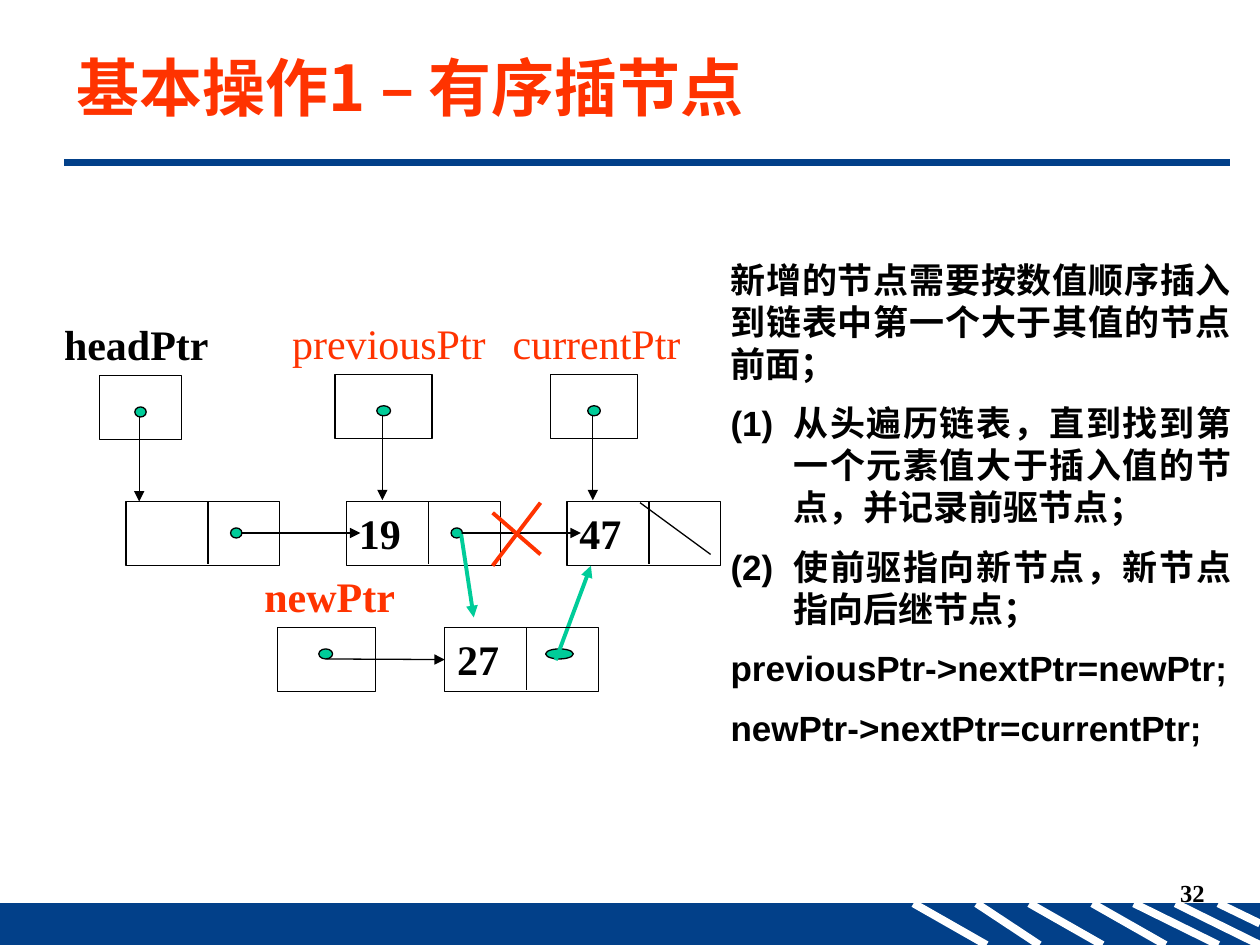
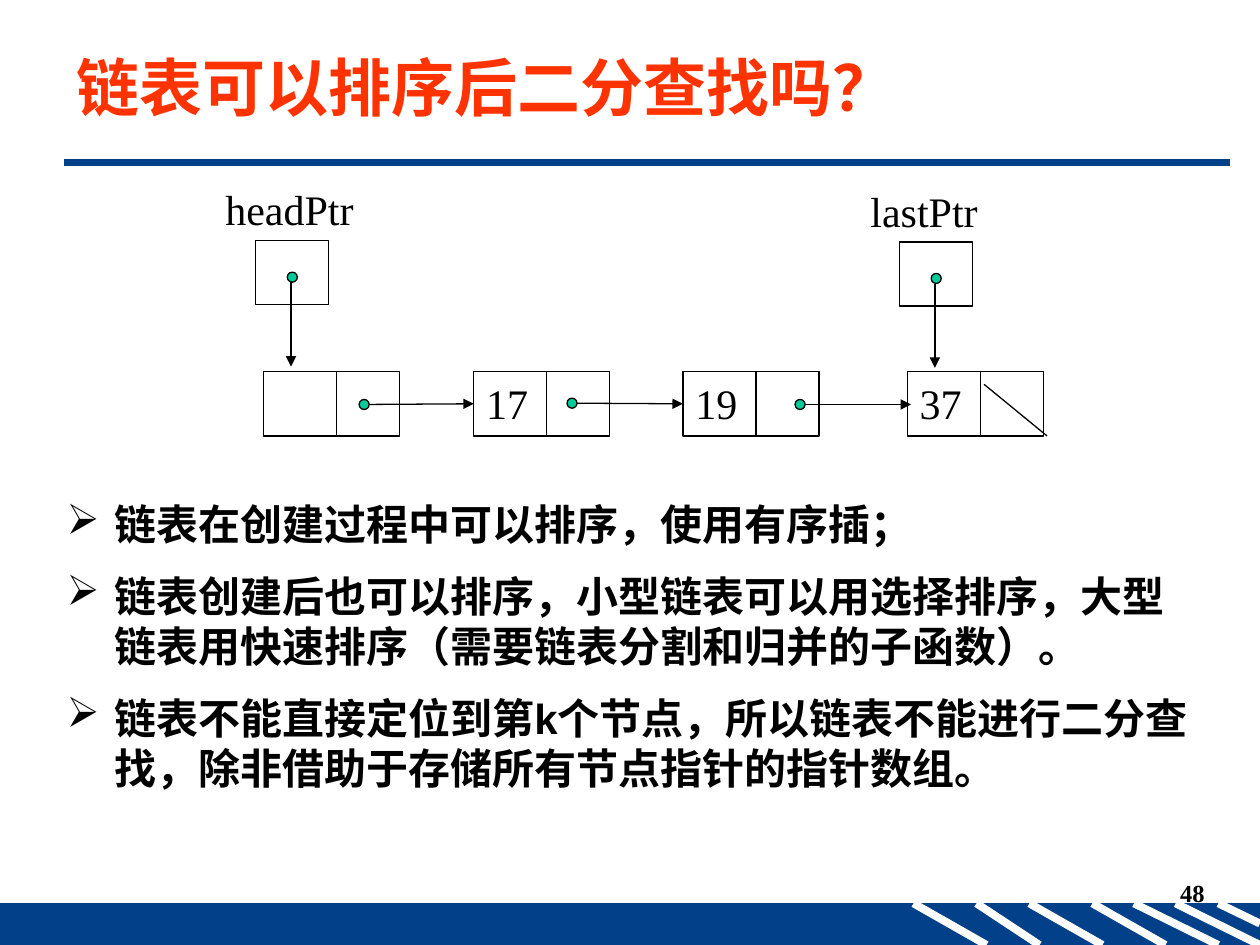
from lxml import etree
from pptx import Presentation
from pptx import util as u
from pptx.dml.color import RGBColor
from pptx.enum import shapes, text
from pptx.oxml import ns

BLACK, WHITE, NAVY, RED, GREEN = "000000", "FFFFFF", "024089", "FF3300", "00CC99"
SERIF, SANS, HEADING = "Times New Roman", "Arial", "Noto Sans CJK SC"
STRIPES = [(7.75, 8.25), (7.25, 7.83), (8.17, 8.75), (9.33, 10), (9, 9.67), (8.67, 9.25)]
LEFT_SIDE = 1
BOX_HEIGHT = 0.51
DOT_HEIGHT = 0.08


def inches(value):
    """Turn inches into a length given in centimetres."""
    return u.Cm(2.54 * value)


def colour(value):
    """Turn a hex string into a colour."""
    return RGBColor.from_string(value)


def child(parent, tag, **attributes):
    """Append a drawing element to a parent."""
    return etree.SubElement(parent, ns.qn(tag), **attributes)


class Lecture:
    """Hold the deck style and the current page."""

    def __init__(self):
        """Open an empty deck of 10 by 7.5 inches."""
        self.deck = Presentation()
        self.deck.slide_width, self.deck.slide_height = inches(10), inches(7.5)
        self.page = None

    def start_page(self, title, number):
        """Add a page with its band, rule, title and number."""
        self.page = self.deck.slides.add_slide(self.deck.slide_layouts[6])
        self.shape(0, 7.17, 10, 0.33, fill=NAVY, line=NAVY)
        for start, end in STRIPES:
            self.line(start, 7.17, end, 7.5, WHITE, 4.5)
        self.line(9.67, 7.17, 10, 7.33, WHITE, 4.5)
        self.line(0.51, 1.29, 9.76, 1.29, NAVY, 4.5)
        box = self.text_box(0.51, 0.29, 9.29, 0.79)
        box.text_frame.vertical_anchor = text.MSO_ANCHOR.MIDDLE
        self.add_text(box, title, 36, HEADING, RED, True)
        number_box = self.text_box(7.58, 6.92, 2.08, 0.5)
        para = self.add_text(number_box, number, 14, SERIF, BLACK, True)
        para.alignment = text.PP_ALIGN.RIGHT

    def shape(self, left, top, width, height, kind=shapes.MSO_SHAPE.RECTANGLE,
              fill=None, line=BLACK):
        """Draw a preset shape with a thin outline."""
        box = self.page.shapes.add_shape(kind, *map(inches, (left, top, width, height)))
        box.shadow.inherit = False
        if fill:
            box.fill.solid()
            box.fill.fore_color.rgb = colour(fill)
        else:
            box.fill.background()
        box.line.color.rgb = colour(line)
        box.line.width = u.Pt(0.75)
        return box

    def line(self, x1, y1, x2, y2, ink=BLACK, width=0.75, arrow=False):
        """Draw a straight line, with an arrowhead on request."""
        connector = self.page.shapes.add_connector(
            shapes.MSO_CONNECTOR.STRAIGHT, *map(inches, (x1, y1, x2, y2)))
        connector.line.color.rgb = colour(ink)
        connector.line.width = u.Pt(width)
        properties = connector._element.spPr
        if arrow:
            child(properties.find(ns.qn("a:ln")), "a:tailEnd", type="triangle")
        child(properties, "a:effectLst")
        return connector

    def text_box(self, left, top, width, height):
        """Add an empty wrapping text box."""
        box = self.page.shapes.add_textbox(*map(inches, (left, top, width, height)))
        box.text_frame.word_wrap = True
        return box

    def add_text(self, box, words, size, font, ink=BLACK, bold=False):
        """Add a paragraph of one run, spaced from any before it."""
        para = box.text_frame.paragraphs[0]
        if para.runs:
            para = box.text_frame.add_paragraph()
            para.space_before = u.Pt(size / 2)
        para.alignment = text.PP_ALIGN.LEFT
        span = para.add_run()
        span.text = words
        span.font.size, span.font.bold, span.font.name = u.Pt(size), bold, font
        span.font.color.rgb = colour(ink)
        child(span._r.get_or_add_rPr(), "a:ea", typeface=font)
        return para

    def bullet(self, para, indent, tag, **attributes):
        """Give a paragraph a hanging bullet or number."""
        properties = para._p.get_or_add_pPr()
        properties.set("marL", str(inches(indent)))
        properties.set("indent", str(-inches(indent)))
        child(properties, tag, **attributes)

    def dot(self, left, top, width):
        """Draw the green dot where a pointer begins."""
        return self.shape(left, top, width, DOT_HEIGHT, shapes.MSO_SHAPE.OVAL, GREEN)

    def node(self, left, top, width, split, value="", bold=False):
        """Draw a list node with a value cell and a pointer cell."""
        box = self.shape(left, top, width, BOX_HEIGHT)
        box.text_frame.vertical_anchor = text.MSO_ANCHOR.TOP
        if value:
            self.add_text(box, value, 24, SERIF, BLACK, bold)
        self.line(left + split, top, left + split, top + 0.5)
        return box

    def link(self, left, top, width, end, target=None):
        """Draw a dot and the arrow from it to the next node."""
        self.dot(left, top, width)
        middle = top + DOT_HEIGHT / 2
        arrow = self.line(left + width, middle, end, middle, arrow=True)
        if target:
            arrow.end_connect(target, LEFT_SIDE)

    def label(self, name, left, top, ink=BLACK, bold=False):
        """Add the name of a pointer."""
        self.add_text(self.text_box(left, top, 1.75, 0.5), name, 24, SERIF, ink, bold)

    def pointer(self, name, label_left, left, top, width, dot_width, ink=BLACK, bold=False):
        """Draw a named pointer box with an arrow going down."""
        self.shape(left, top, width, BOX_HEIGHT)
        self.label(name, label_left, top - 0.5, ink, bold)
        centre = left + width / 2
        self.dot(centre - dot_width / 2, top + 0.25, dot_width)
        self.line(centre - 0.01, top + 0.33, centre - 0.01, top + 1, arrow=True)


def insertion_page(lecture):
    """Build the page on ordered insertion."""
    lecture.start_page("基本操作1 – 有序插节点", "32")
    notes = lecture.text_box(5.7, 2, 4.17, 4.14)
    for words, numbered in [
        ("新增的节点需要按数值顺序插入到链表中第一个大于其值的节点前面；", False),
        ("从头遍历链表，直到找到第一个元素值大于插入值的节点，并记录前驱节点；", True),
        ("使前驱指向新节点，新节点指向后继节点；", True),
        ("previousPtr->nextPtr=newPtr;", False),
        ("newPtr->nextPtr=currentPtr;", False),
    ]:
        para = lecture.add_text(notes, words, 20, SANS, BLACK, True)
        para.alignment = text.PP_ALIGN.JUSTIFY
        if numbered:
            lecture.bullet(para, 0.5, "a:buAutoNum", type="arabicParenBoth")

    for index, value in enumerate(["", "19", "47"]):
        lecture.node(1 + 1.75 * index, 3.98, 1.22, 0.65, value, True)
    for left in (1.83, 3.58):
        lecture.link(left, 4.19, 0.09, left + 1.03)
    lecture.line(5.08, 3.99, 5.64, 4.4)
    lecture.pointer("headPtr", 0.41, 0.79, 2.98, 0.65, 0.09, bold=True)
    lecture.pointer("previousPtr", 2.22, 2.66, 2.97, 0.77, 0.11, RED)
    lecture.pointer("currentPtr", 3.97, 4.37, 2.97, 0.69, 0.1, RED)

    lecture.line(4.29, 3.99, 3.91, 4.49, RED, 2.25)
    lecture.line(3.91, 4.07, 4.29, 4.4, RED, 2.25)
    lecture.line(3.66, 4.24, 3.76, 4.9, GREEN, 2.25, True)
    lecture.dot(4.33, 5.15, 0.22)
    lecture.line(4.41, 5.24, 4.69, 4.49, GREEN, 2.25, True)
    new_node = lecture.node(3.53, 4.98, 1.22, 0.65, "27", True)
    lecture.dot(2.53, 5.15, 0.11)
    lecture.shape(2.2, 4.98, 0.78, BOX_HEIGHT)
    lecture.label("newPtr", 2, 4.48, RED, True)
    arrow = lecture.line(2.59, 5.23, 3.53, 5.23, arrow=True)
    arrow.end_connect(new_node, LEFT_SIDE)


def search_page(lecture):
    """Build the page on sorting and binary search."""
    lecture.start_page("链表可以排序后二分查找吗？", "48")
    answers = lecture.text_box(0.43, 3.91, 9.13, 2.52)
    for words in [
        "链表在创建过程中可以排序，使用有序插；",
        "链表创建后也可以排序，小型链表可以用选择排序，大型链表用快速排序（需要链表分割和归并的子函数）。",
        "链表不能直接定位到第k个节点，所以链表不能进行二分查找，除非借助于存储所有节点指针的指针数组。",
    ]:
        para = lecture.add_text(answers, words, 24, SANS, BLACK, True)
        lecture.bullet(para, 0.38, "a:buChar", char="➢")

    nodes = [lecture.node(left, 2.95, 1.08, 0.58, value) for left, value in
             [(2.09, ""), (3.76, "17"), (5.42, "19"), (7.2, "37")]]
    lecture.link(2.85, 3.17, 0.08, 3.76, nodes[1])
    lecture.link(4.5, 3.16, 0.08, 5.42, nodes[2])
    lecture.link(6.31, 3.17, 0.08, 7.23)
    lecture.line(7.81, 3.05, 8.31, 3.46)
    lecture.pointer("headPtr", 1.69, 2.03, 1.91, 0.58, 0.08)
    lecture.pointer("lastPtr", 6.81, 7.14, 1.92, 0.58, 0.08)


def main():
    """Build and save the deck."""
    lecture = Lecture()
    insertion_page(lecture)
    search_page(lecture)
    lecture.deck.save("out.pptx")


if __name__ == "__main__":
    main()
